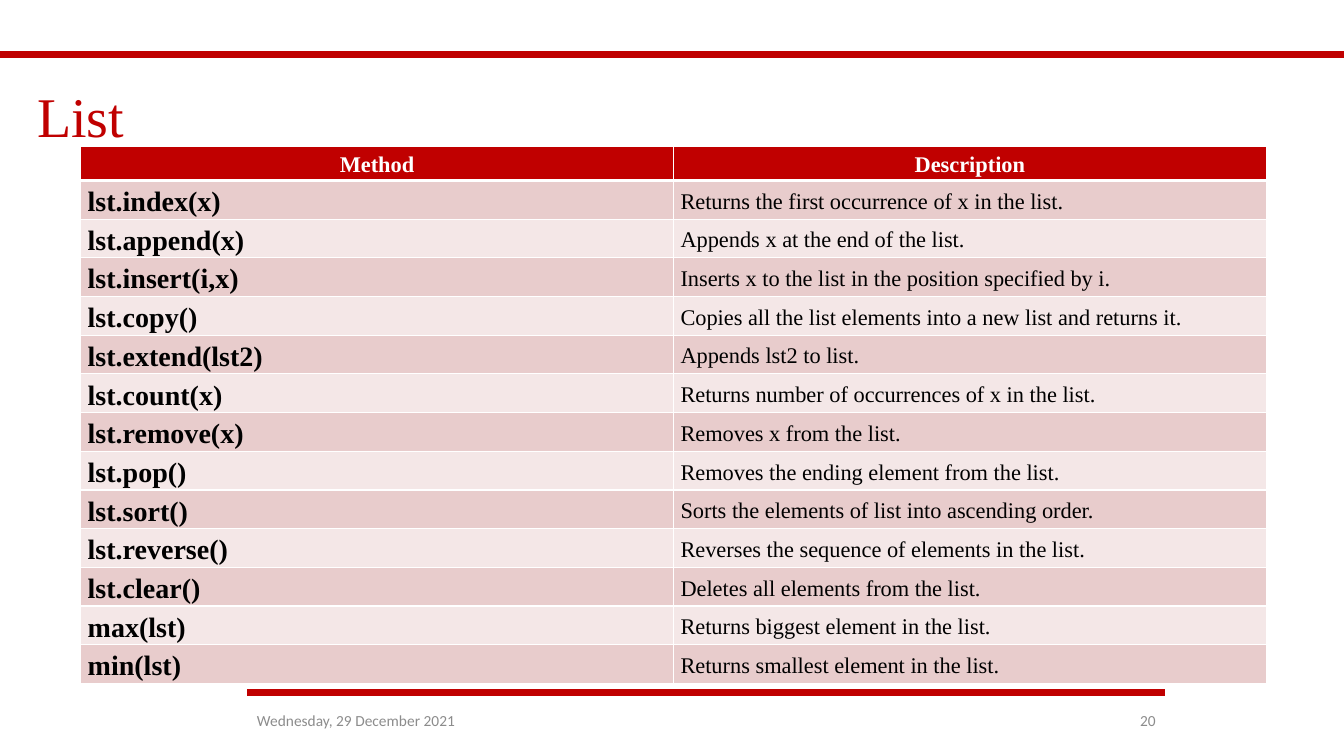
import pptx
import pptx.dml.color
import pptx.enum.shapes
import pptx.enum.text
import pptx.oxml.ns
import pptx.util
from lxml import etree

Inches, Pt = pptx.util.Inches, pptx.util.Pt
RGBColor = pptx.dml.color.RGBColor
ALIGN = pptx.enum.text.PP_ALIGN
MIDDLE = pptx.enum.text.MSO_ANCHOR.MIDDLE

TITLE = "List"
DATE = "Wednesday, 29 December 2021"
NUMBER = "20"
HEADER = ("Method", "Description")
METHODS = [
    ("lst.index(x)", "Returns the first occurrence of x in the list."),
    ("lst.append(x)", "Appends x at the end of the list."),
    ("lst.insert(i,x)", "Inserts x to the list in the position specified by i."),
    ("lst.copy()", "Copies all the list elements into a new list and returns it."),
    ("lst.extend(lst2)", "Appends lst2 to list."),
    ("lst.count(x)", "Returns number of occurrences of x in the list."),
    ("lst.remove(x)", "Removes x from the list."),
    ("lst.pop()", "Removes the ending element from the list."),
    ("lst.sort()", "Sorts the elements of list into ascending order."),
    ("lst.reverse()", "Reverses the sequence of elements in the list."),
    ("lst.clear()", "Deletes all elements from the list."),
    ("max(lst)", "Returns biggest element in the list."),
    ("min(lst)", "Returns smallest element in the list."),
]
RULES = [(0, 13.33, 0.54), (2.45, 11.55, 6.87)]

RED = RGBColor(0xC0, 0x00, 0x00)
PINK = RGBColor(0xE8, 0xCC, 0xCC)
PALE = RGBColor(0xF4, 0xE7, 0xE7)
WHITE = RGBColor(0xFF, 0xFF, 0xFF)
BLACK = RGBColor(0x00, 0x00, 0x00)
GREY = RGBColor(0x8C, 0x8C, 0x8C)
SERIF, SANS = "Times New Roman", "Calibri"
HEADER_H, ROW_H, COL_W = 0.34, 0.35, 5.88


def write(tf, text, size, color, font=SERIF, bold=False, align=ALIGN.LEFT, spacing=1.0):
    p = tf.paragraphs[0]
    p.alignment = align
    p.line_spacing = spacing
    r = p.add_run()
    r.text = text
    r.font.size = Pt(size)
    r.font.name = font
    r.font.bold = bold
    r.font.color.rgb = color


def add_text(s, box, text, size, color, **style):
    tf = s.shapes.add_textbox(*map(Inches, box)).text_frame
    tf.word_wrap = True
    tf.vertical_anchor = MIDDLE
    write(tf, text, size, color, **style)


def add_rule(s, left, right, y):
    line = s.shapes.add_connector(
        pptx.enum.shapes.MSO_CONNECTOR.STRAIGHT,
        Inches(left), Inches(y), Inches(right), Inches(y))
    line.line.color.rgb = RED
    line.line.width = Pt(4.5)
    etree.SubElement(line._element.spPr, pptx.oxml.ns.qn("a:effectLst"))


def set_borders(cell, **widths):
    qn = pptx.oxml.ns.qn
    tcPr = cell._tc.get_or_add_tcPr()
    for side in "LRTB":
        ln = etree.SubElement(tcPr, qn("a:ln" + side), w=str(Pt(widths.get(side, 1))))
        fill = etree.SubElement(ln, qn("a:solidFill"))
        etree.SubElement(fill, qn("a:srgbClr"), val=str(WHITE))


def add_methods(s):
    rows = [HEADER] + METHODS
    height = HEADER_H + ROW_H * len(METHODS)
    table = s.shapes.add_table(
        len(rows), 2, Inches(0.8), Inches(1.45), Inches(2 * COL_W), Inches(height)).table
    for col in table.columns:
        col.width = Inches(COL_W)
    for i, row in enumerate(rows):
        table.rows[i].height = Inches(ROW_H if i else HEADER_H)
        for j, text in enumerate(row):
            cell = table.cell(i, j)
            cell.margin_left = cell.margin_right = Inches(0.07)
            cell.margin_top = cell.margin_bottom = 0
            cell.vertical_anchor = MIDDLE
            set_borders(cell, T=3 if i == 1 else 1, B=1 if i else 3)
            cell.fill.solid()
            cell.fill.fore_color.rgb = (PINK if i % 2 else PALE) if i else RED
            write(cell.text_frame, text, 20 if i and j == 0 else 16,
                  BLACK if i else WHITE, bold=i == 0 or j == 0,
                  align=ALIGN.LEFT if i else ALIGN.CENTER, spacing=1.15)


def main():
    prs = pptx.Presentation()
    prs.slide_width, prs.slide_height = Inches(13.33), Inches(7.5)
    s = prs.slides.add_slide(prs.slide_layouts[6])
    for rule in RULES:
        add_rule(s, *rule)
    add_text(s, (0.27, 0.54, 12.81, 1.28), TITLE, 40, RED, spacing=0.9)
    add_text(s, (2.45, 6.95, 2.25, 0.4), DATE, 11, GREY, font=SANS)
    add_text(s, (10.77, 6.95, 0.79, 0.4), NUMBER, 11, GREY, font=SANS, align=ALIGN.RIGHT)
    add_methods(s)
    prs.save("out.pptx")


if __name__ == "__main__":
    main()
